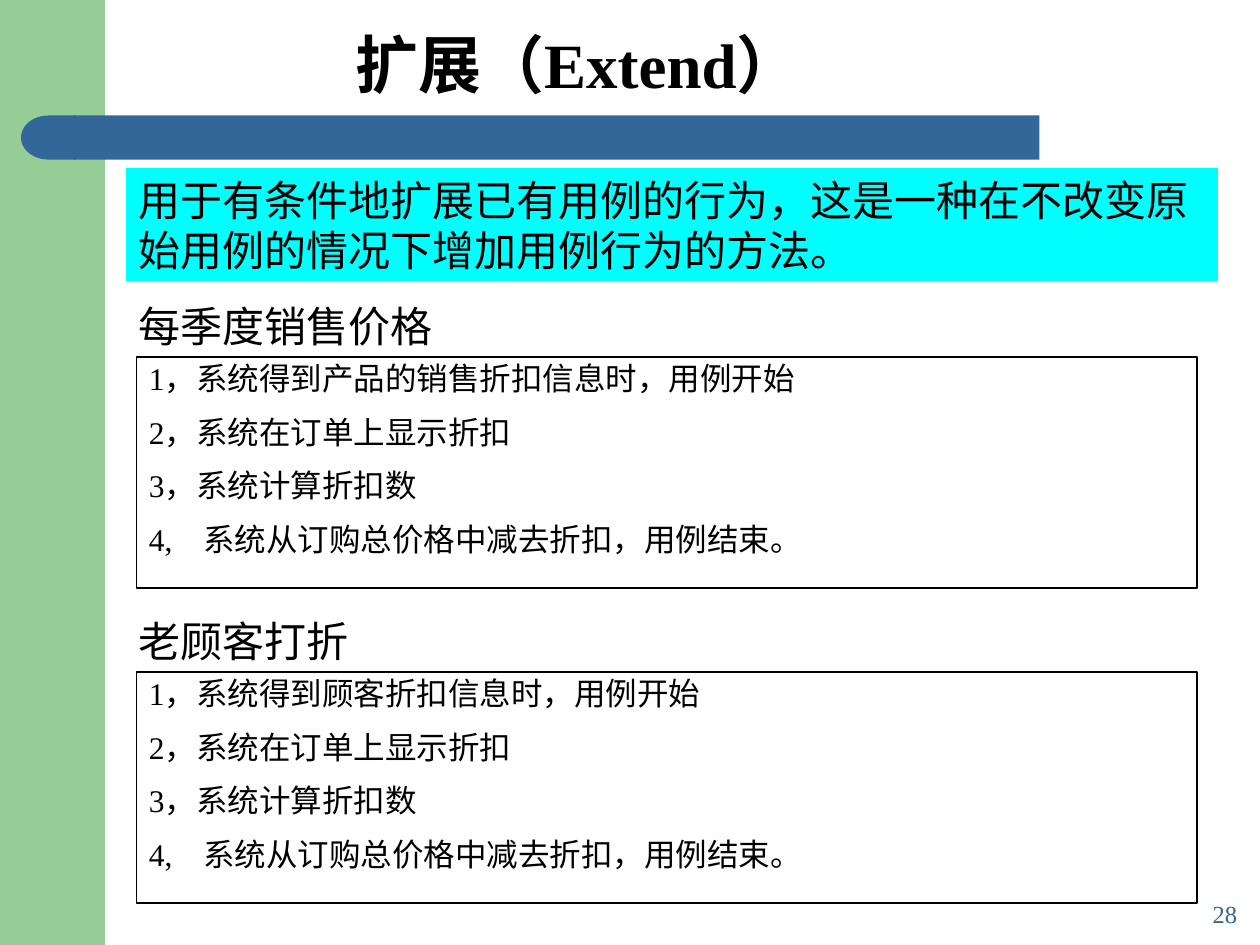
from lxml import etree
from pptx import Presentation
from pptx import util as u
from pptx.dml.color import RGBColor
from pptx.enum import shapes, text
from pptx.oxml.ns import qn

PX = 7620  # EMU per px, 120 px to the inch
FONT = "Times New Roman"
COLORS = {"green": "96CC96", "blue": "336699", "cyan": "00FFFF", "black": "000000"}
SHAPE = shapes.MSO_SHAPE
LEFT, CENTER, RIGHT = text.PP_ALIGN.LEFT, text.PP_ALIGN.CENTER, text.PP_ALIGN.RIGHT

deck = Presentation()
deck.slide_width, deck.slide_height = 1200 * PX, 900 * PX
page = deck.slides.add_slide(deck.slide_layouts[6])


def add_box(kind, left, top, width, height, fill=None, line=None):
    box = page.shapes.add_shape(kind, left * PX, top * PX, width * PX, height * PX)
    box.shadow.inherit = False
    if fill:
        box.fill.solid()
        box.fill.fore_color.rgb = RGBColor.from_string(COLORS[fill])
    else:
        box.fill.background()
    if line:
        box.line.color.rgb = RGBColor.from_string(COLORS[line])
        box.line.width = u.Pt(0.75)
    else:
        box.line.fill.background()
    return box


def write(box, lines, size, align=LEFT, color="black", bold=False,
          anchor=text.MSO_ANCHOR.TOP, spacing=None, before=0, tab=None):
    """Fill a box with one paragraph per line; tab is a tab stop in px."""
    frame = box.text_frame
    frame.word_wrap = True
    frame.vertical_anchor = anchor
    for index, line in enumerate(lines):
        para = frame.add_paragraph() if index else frame.paragraphs[0]
        para.alignment = align
        if spacing:
            para.line_spacing = spacing
        if index:
            para.space_before = u.Pt(before)
        if tab:
            stops = etree.SubElement(para._p.get_or_add_pPr(), qn("a:tabLst"))
            etree.SubElement(stops, qn("a:tab"), pos=str(tab * PX), algn="l")
        span = para.add_run()
        span.text = line
        span.font.name = FONT
        span.font.size = u.Pt(size)
        span.font.bold = bold
        span.font.color.rgb = RGBColor.from_string(COLORS[color])


# Side band and title bar with its rounded left end
add_box(SHAPE.RECTANGLE, 0, 0, 100, 900, "green")
add_box(SHAPE.RECTANGLE, 70, 110, 920, 42, "blue")
bar_end = add_box(SHAPE.FLOWCHART_DELAY, 20, 110, 52, 42, "blue")
bar_end.rotation = 180

title = page.shapes.add_textbox(110 * PX, 20 * PX, 880 * PX, 80 * PX)
write(title, ["扩展（Extend）"], 36, CENTER, bold=True, anchor=text.MSO_ANCHOR.MIDDLE)

definition = add_box(SHAPE.RECTANGLE, 120, 160, 1040, 108, "cyan")
write(definition, ["用于有条件地扩展已有用例的行为，这是一种在不改变原始用例的情况下增加用例行为的方法。"], 24)

# Two use cases: a heading over a framed list of steps
use_cases = [
    ("每季度销售价格", "1，系统得到产品的销售折扣信息时，用例开始"),
    ("老顾客打折", "1，系统得到顾客折扣信息时，用例开始"),
]
shared_steps = ["2，系统在订单上显示折扣", "3，系统计算折扣数",
                "4,\t系统从订购总价格中减去折扣，用例结束。"]
for row, (name, first_step) in enumerate(use_cases):
    top = 280 + 300 * row
    steps = add_box(SHAPE.RECTANGLE, 130, top + 60, 1010, 220, line="black")
    write(steps, [first_step] + shared_steps, 18, spacing=0.9, before=11.2, tab=52)
    heading = page.shapes.add_textbox(120 * PX, top * PX, 580 * PX, 60 * PX)
    write(heading, [name], 24)

number = page.shapes.add_textbox(990 * PX, 850 * PX, 200 * PX, 50 * PX)
write(number, ["28"], 14, RIGHT, "blue")

deck.save("out.pptx")
